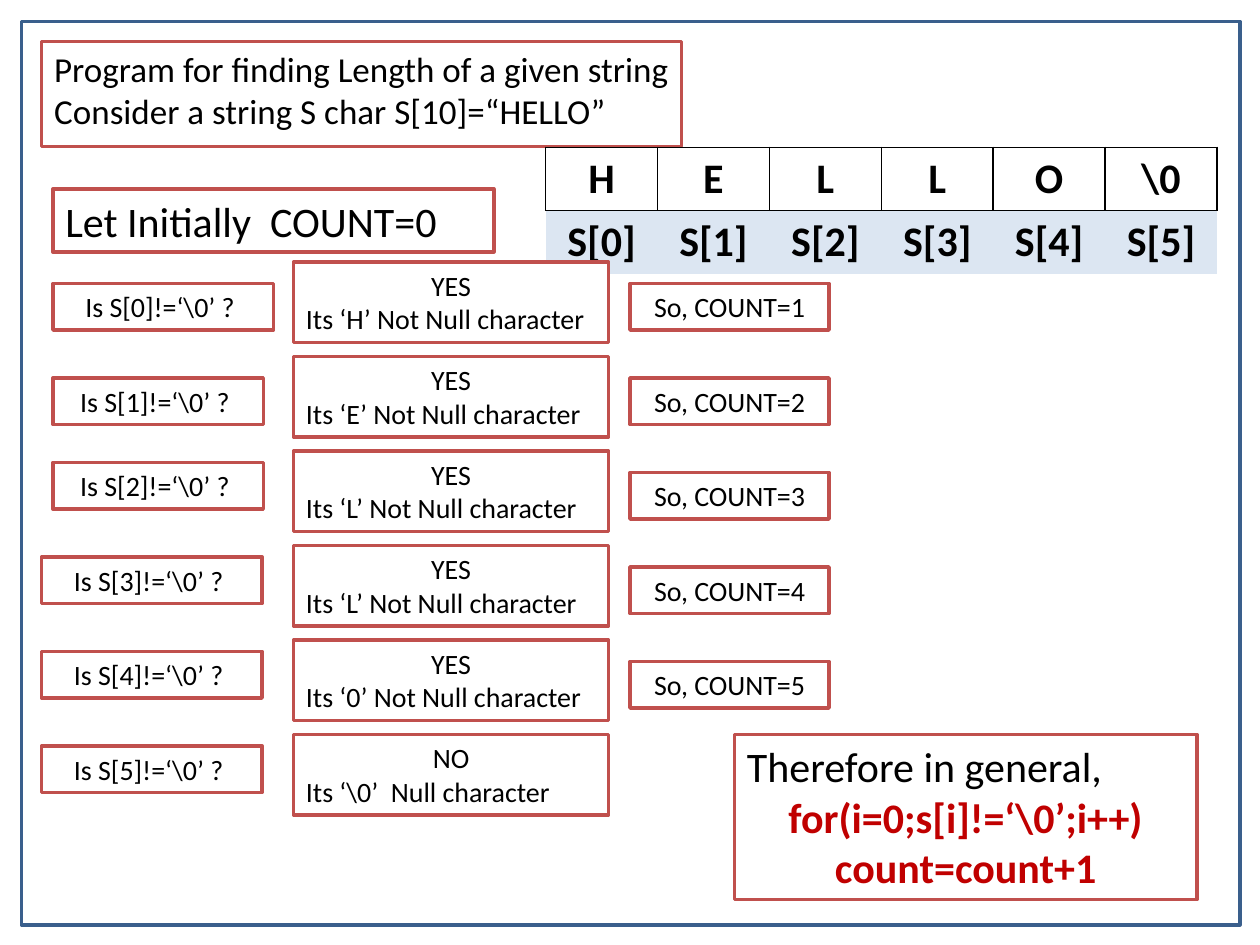
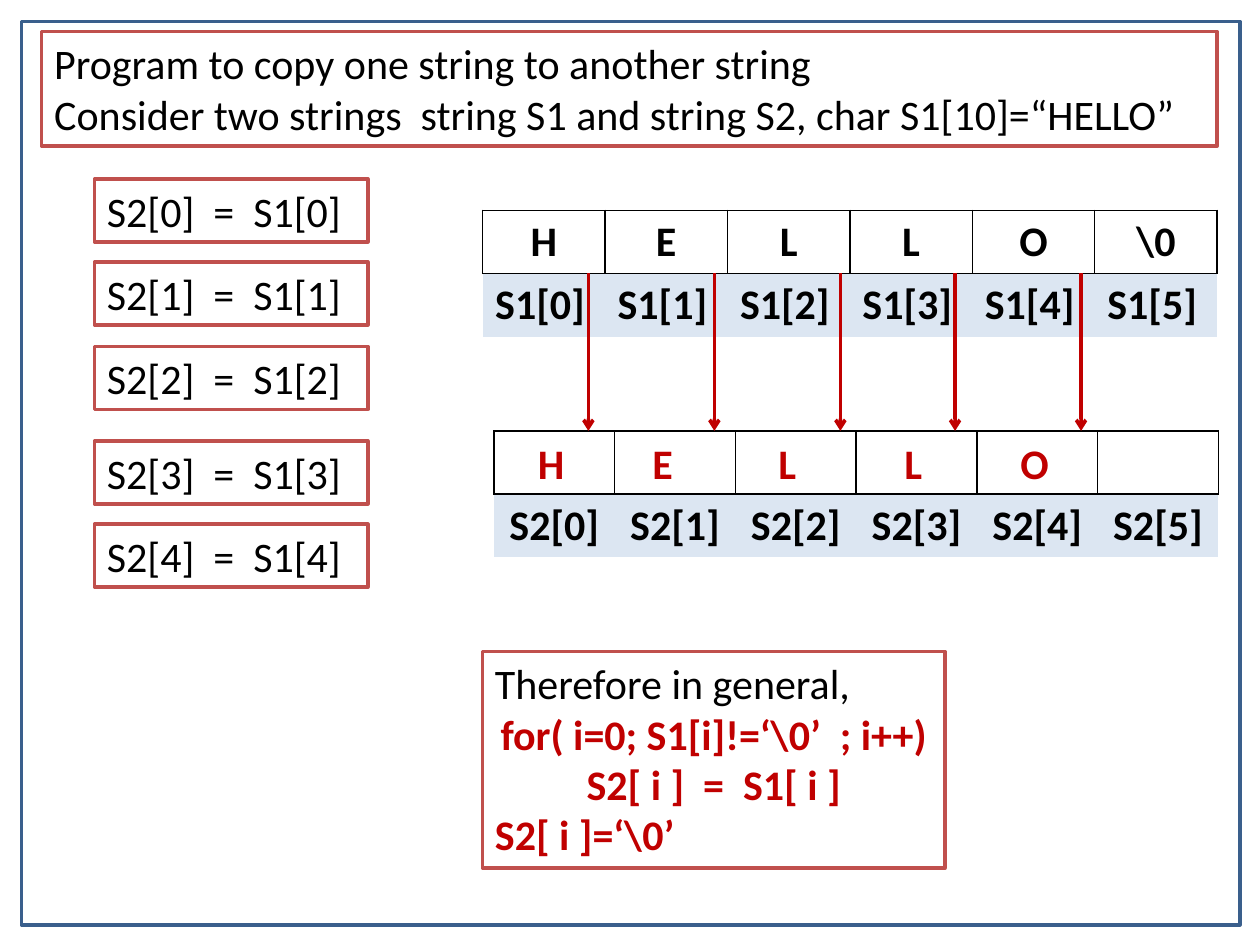
import pptx
import pptx.dml.color
import pptx.enum.shapes
import pptx.enum.text
import pptx.oxml.ns
import pptx.util
from lxml import etree

Inches = pptx.util.Inches
Pt = pptx.util.Pt
qn = pptx.oxml.ns.qn
Align = pptx.enum.text.PP_ALIGN

COLORS = {"frame": "3A5F8C", "edge": "C0504D", "code": "C00000",
          "ink": "000000", "paper": "FFFFFF", "band": "DCE6F2"}
KINDS = {
    "left": (Align.LEFT, "ink", False),
    "mid": (Align.CENTER, "ink", False),
    "bold": (Align.CENTER, "ink", True),
    "index": (Align.LEFT, "ink", True),
    "code": (Align.CENTER, "code", True),
    "last": (Align.LEFT, "code", True),
}


def rgb(name):
    return pptx.dml.color.RGBColor.from_string(COLORS[name])


class Deck:
    font = "Calibri"

    def __init__(self):
        self.prs = pptx.Presentation()
        self.prs.slide_width = Inches(10)
        self.prs.slide_height = Inches(7.5)
        self.slide = None

    def page(self, lines, at, size):
        self.slide = self.prs.slides.add_slide(self.prs.slide_layouts[5])
        head = self.slide.shapes.title
        self.place(head, at)
        self.paint(head, "paper", "edge")
        self.letter(head.text_frame, [(line, "left") for line in lines], size)
        self.rect((0.17, 0.17, 9.67, 7.17), None, "frame")

    def place(self, shape, at):
        for key, value in zip(("left", "top", "width", "height"), at):
            setattr(shape, key, Inches(value))

    def paint(self, shape, fill, line):
        if fill:
            shape.fill.solid()
            shape.fill.fore_color.rgb = rgb(fill)
        else:
            shape.fill.background()
        shape.line.color.rgb = rgb(line)
        shape.line.width = Pt(2)

    def letter(self, frame, lines, size):
        form = {"word_wrap": True,
                "auto_size": pptx.enum.text.MSO_AUTO_SIZE.SHAPE_TO_FIT_TEXT,
                "vertical_anchor": pptx.enum.text.MSO_ANCHOR.TOP}
        for key, value in form.items():
            setattr(frame, key, value)
        for i, (text, kind) in enumerate(lines):
            para = frame.add_paragraph() if i else frame.paragraphs[0]
            self.phrase(para, text, kind, size)

    def phrase(self, para, text, kind, size):
        align, color, bold = KINDS[kind]
        para.alignment = align
        run = para.add_run()
        run.text = text
        form = {"name": self.font, "size": Pt(size), "bold": bold}
        for key, value in form.items():
            setattr(run.font, key, value)
        run.font.color.rgb = rgb(color)

    def rect(self, at, fill, line):
        kind = pptx.enum.shapes.MSO_SHAPE.RECTANGLE
        shape = self.slide.shapes.add_shape(kind, *map(Inches, at))
        shape.shadow.inherit = False
        self.paint(shape, fill, line)
        return shape

    def box(self, at, lines, size):
        shape = self.rect(at, "paper", "edge")
        self.letter(shape.text_frame, lines, size)

    def label(self, at, text):
        box = self.slide.shapes.add_textbox(*map(Inches, at))
        self.letter(box.text_frame, [(text, "code")], 24)

    def arrow(self, x, top, end):
        kind = pptx.enum.shapes.MSO_CONNECTOR.STRAIGHT
        line = self.slide.shapes.add_connector(
            kind, *map(Inches, (x, top, x, end)))
        line.line.color.rgb = rgb("code")
        line.line.width = Pt(2)
        props = line._element.spPr
        etree.SubElement(props.find(qn("a:ln")), qn("a:tailEnd"), type="arrow")
        etree.SubElement(props, qn("a:effectLst"))

    def edges(self, cell, sides):
        props = cell._tc.get_or_add_tcPr()
        for side in "LRTB":
            line = etree.SubElement(props, qn("a:ln" + side), w=str(Pt(1)))
            if side in sides:
                fill = etree.SubElement(line, qn("a:solidFill"))
                etree.SubElement(fill, qn("a:srgbClr"), val=COLORS["ink"])
            else:
                etree.SubElement(line, qn("a:noFill"))

    def grid(self, at, chars, name, kind="bold"):
        count = len(chars)
        table = self.slide.shapes.add_table(2, count, *map(Inches, at)).table
        table.first_row = table.horz_banding = False
        marks = [f"{name}[{i}]" for i in range(count)]
        rows = ((chars, "bold", "paper", "LRTB"), (marks, kind, "band", "T"))
        for r, (texts, style, fill, sides) in enumerate(rows):
            for c, text in enumerate(texts):
                cell = table.cell(r, c)
                self.edges(cell, sides)
                cell.fill.solid()
                cell.fill.fore_color.rgb = rgb(fill)
                if text:
                    self.phrase(cell.text_frame.paragraphs[0], text, style, 24)


WORD = ["H", "E", "L", "L", "O", "\\0"]


def count_page(deck):
    deck.page(["Program for finding Length of a given string",
               "Consider a string S char S[10]=“HELLO”"],
              (0.33, 0.33, 5.08, 0.77), 20)
    deck.grid((4.33, 1.17, 5.33, 1), WORD, "S")
    deck.box((0.42, 1.5, 3.5, 0.5), [("Let Initially  COUNT=0", "left")], 24)
    asks = [(0.42, 2.25, 1.75), (0.42, 3, 1.67), (0.42, 3.67, 1.67),
            (0.33, 4.42, 1.75), (0.33, 5.17, 1.75), (0.33, 5.92, 1.75)]
    found = ["‘H’ Not", "‘E’ Not", "‘L’ Not", "‘L’ Not", "‘0’ Not", "‘\\0’ "]
    for i, (ask, what) in enumerate(zip(asks, found)):
        more = i < 5
        step = 0.75 * i
        deck.box((*ask, 0.37), [(f"Is S[{i}]!=‘\\0’ ? ", "mid")], 16)
        deck.box((2.33, 2.08 + step, 2.5, 0.64),
                 [("YES" if more else "NO", "mid"),
                  (f"Its {what} Null character", "left")], 16)
        if more:
            deck.box((5, 2.25 + step, 1.58, 0.37),
                     [(f"So, COUNT={i + 1}", "mid")], 16)
    deck.box((5.83, 5.83, 3.67, 1.31),
             [("Therefore in general,", "left"),
              ("for(i=0;s[i]!=‘\\0’;i++)", "code"),
              ("count=count+1", "code")], 24)


def copy_page(deck):
    deck.page(["Program to copy one string to another string",
               "Consider two strings  string S1 and string S2, "
               "char S1[10]=“HELLO”"],
              (0.33, 0.25, 9.33, 0.91), 24)
    deck.grid((3.83, 1.67, 5.83, 1), WORD, "S1", "index")
    deck.grid((3.92, 3.42, 5.75, 1), [""] * 6, "S2")
    for x in (4.67, 5.67, 6.67, 7.58, 8.58):
        deck.arrow(x, 2.17, 3.42)
    for i, y in enumerate((1.42, 2.08, 2.75, 3.5, 4.16)):
        deck.box((0.75, y, 2.17, 0.5), [(f"S2[{i}]  =  S1[{i}]", "left")], 24)
    deck.box((3.83, 5.17, 3.67, 1.72),
             [("Therefore in general,", "left"),
              ("for( i=0; S1[i]!=‘\\0’  ; i++)", "code"),
              ("S2[ i ]  =  S1[ i ]", "code"),
              ("S2[ i ]=‘\\0’", "last")], 24)
    for x, char in zip((4.17, 5.08, 6.08, 7.08, 8), WORD):
        deck.label((x, 3.42, 0.33, 0.5), char)


def main():
    deck = Deck()
    count_page(deck)
    copy_page(deck)
    deck.prs.save("out.pptx")


if __name__ == "__main__":
    main()
